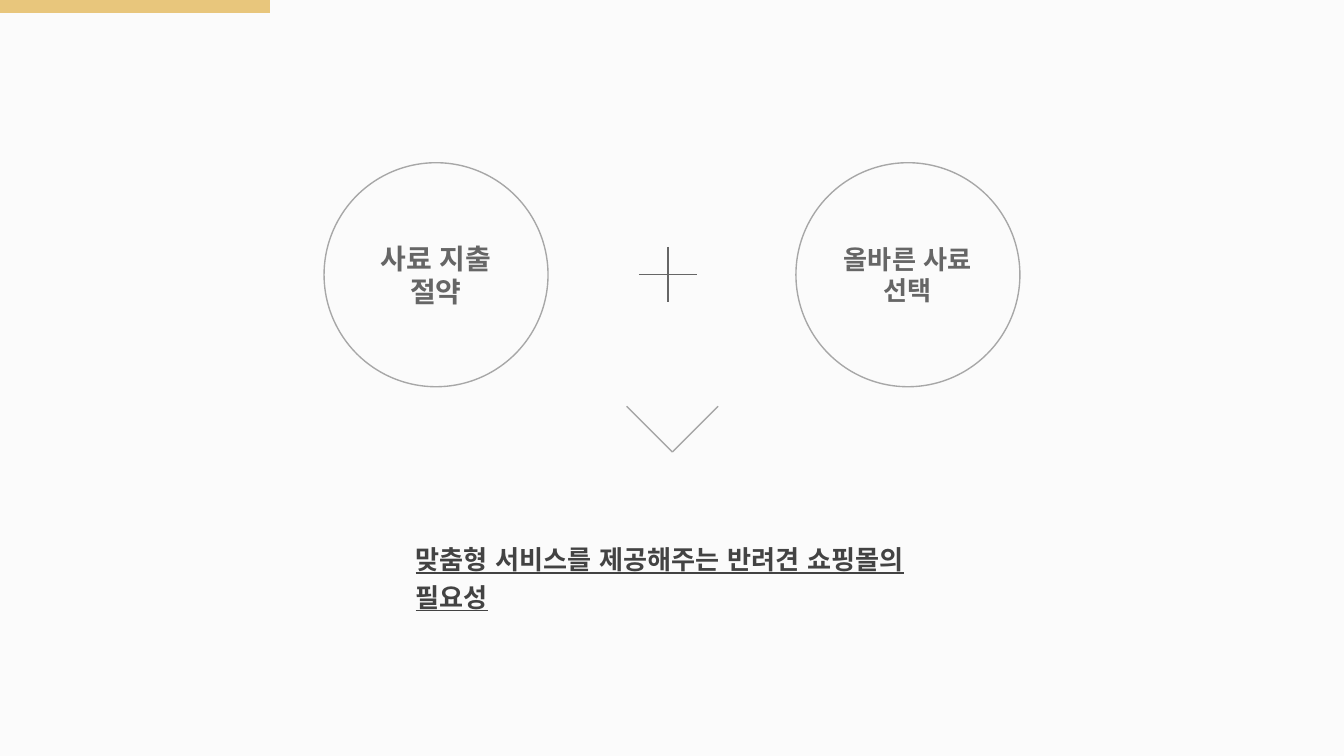
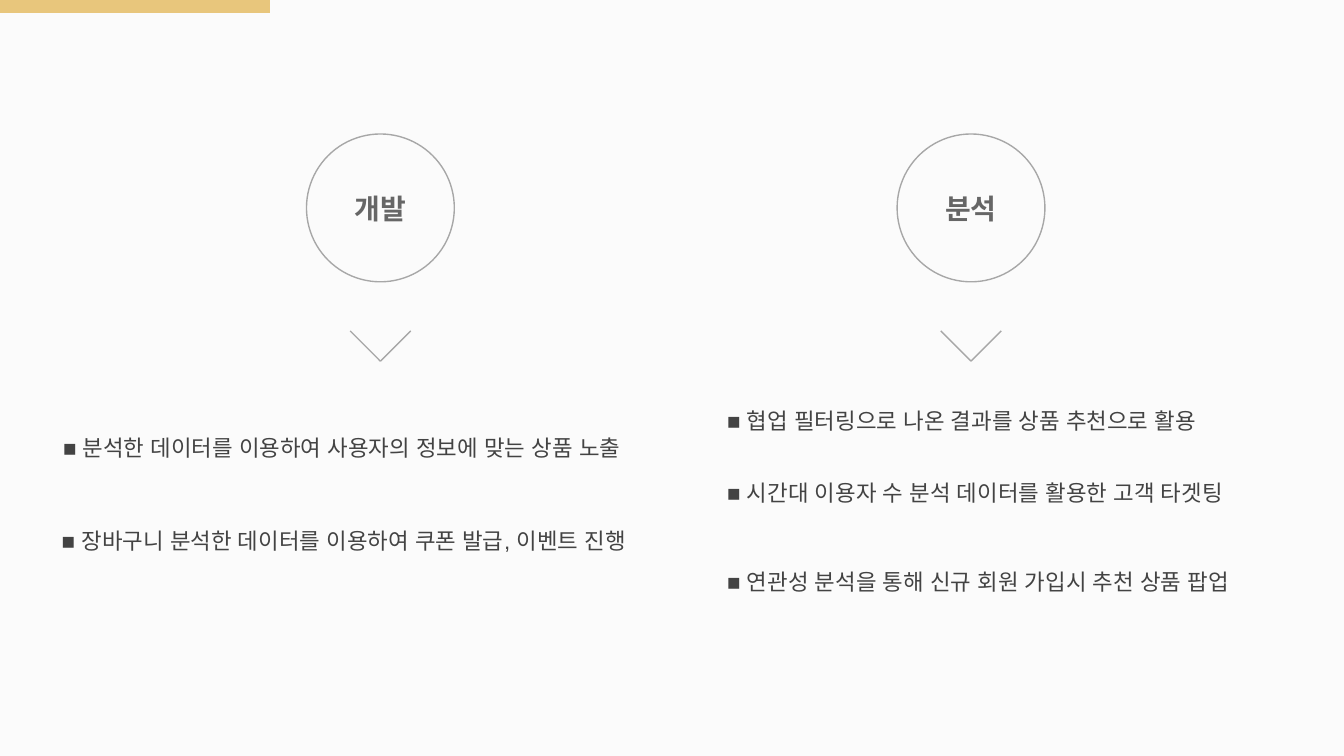
"""Build two slides on a tailored dog-food shopping mall."""
from dataclasses import dataclass

import lxml.etree
import pptx
import pptx.dml.color
import pptx.enum.shapes
import pptx.enum.text
import pptx.oxml.ns
import pptx.util

Pt = pptx.util.Pt
FONT = "Arial"
PAPER, GOLD = "FBFBFB", "E8C67C"
OUTLINE, GREY, DARK = "A7A7A7", "666666", "434343"
NOTE = {"size": Pt(12)}
CONCLUSION = {"size": Pt(14), "bold": True, "underline": True}


@dataclass(frozen=True)
class Circle:
    text: str
    cx: float
    cy: float
    diameter: float
    size: float = 15


@dataclass(frozen=True)
class Chevron:
    x: float
    y: float
    reach: float


@dataclass(frozen=True)
class TextLine:
    text: str
    left: float
    top: float
    width: float
    height: float


def rgb(value: str) -> pptx.dml.color.RGBColor:
    return pptx.dml.color.RGBColor.from_string(value)


def write(sp, text: str, color: str, inset: float, frame: dict, para: dict, font: dict) -> None:
    tf = sp.text_frame
    margins = {f"margin_{side}": Pt(inset) for side in ("left", "top", "right", "bottom")}
    p = tf.paragraphs[0]
    r = p.add_run()
    r.text = text
    formats = (
        (tf, {"word_wrap": True, **margins, **frame}),
        (p, para),
        (r.font, {"name": FONT, **font}),
    )
    for target, values in formats:
        for name, value in values.items():
            setattr(target, name, value)
    r.font.color.rgb = rgb(color)
    ea = lxml.etree.SubElement(r._r.get_or_add_rPr(), pptx.oxml.ns.qn("a:ea"))
    ea.set("typeface", FONT)


def add_line(s, x1: float, y1: float, x2: float, y2: float, color: str, width: float = 0.75) -> None:
    kind = pptx.enum.shapes.MSO_CONNECTOR.STRAIGHT
    sp = s.shapes.add_connector(kind, Pt(x1), Pt(y1), Pt(x2), Pt(y2))
    sp.line.color.rgb = rgb(color)
    sp.line.width = Pt(width)
    lxml.etree.SubElement(sp._element.spPr, pptx.oxml.ns.qn("a:effectLst"))


def add_circle(s, c: Circle) -> None:
    d = c.diameter
    sp = s.shapes.add_shape(
        pptx.enum.shapes.MSO_SHAPE.OVAL, Pt(c.cx - d / 2), Pt(c.cy - d / 2), Pt(d), Pt(d)
    )
    sp.shadow.inherit = False
    sp.fill.background()
    sp.line.color.rgb = rgb(OUTLINE)
    sp.line.width = Pt(0.75)
    write(
        sp, c.text, GREY, 7.2,
        {"vertical_anchor": pptx.enum.text.MSO_ANCHOR.MIDDLE},
        {"alignment": pptx.enum.text.PP_ALIGN.CENTER},
        {"size": Pt(c.size), "bold": True},
    )


def add_chevron(s, c: Chevron) -> None:
    for dx in (-c.reach, c.reach):
        add_line(s, c.x + dx, c.y - c.reach, c.x, c.y, OUTLINE)


def add_plus(s, x: float, y: float, half_width: float, half_height: float) -> None:
    add_line(s, x - half_width, y, x + half_width, y, GREY)
    add_line(s, x, y - half_height, x, y + half_height, GREY)


def add_text(s, t: TextLine, font: dict) -> None:
    sp = s.shapes.add_textbox(Pt(t.left), Pt(t.top), Pt(t.width), Pt(t.height))
    write(sp, t.text, DARK, 3.6, {}, {"line_spacing": 1.2}, font)


def add_slide(prs):
    s = prs.slides.add_slide(prs.slide_layouts[6])
    s.background.fill.solid()
    s.background.fill.fore_color.rgb = rgb(PAPER)
    add_line(s, 0, 2.25, 144.5, 2.25, GOLD, 9)
    return s


def build_need(prs) -> None:
    s = add_slide(prs)
    add_circle(s, Circle("사료 지출 절약", 233.6, 147.2, 120))
    add_circle(s, Circle("올바른 사료 선택", 486.4, 147.2, 120, 14))
    add_plus(s, 357.8, 147, 15.6, 14.7)
    add_chevron(s, Chevron(360.2, 242.2, 24.5))
    add_text(
        s,
        TextLine("맞춤형 서비스를 제공해주는 반려견 쇼핑몰의 필요성", 219, 284.4, 291.6, 24.5),
        CONCLUSION,
    )


def build_plan(prs) -> None:
    s = add_slide(prs)
    for label, x in (("개발", 203.8), ("분석", 520.2)):
        add_circle(s, Circle(label, x, 111.4, 79.2))
        add_chevron(s, Chevron(x, 193.5, 16.2))
    notes = (
        TextLine("■ 분석한 데이터를 이용하여 사용자의 정보에 맞는 상품 노출", 30.2, 226.1, 332, 37.4),
        TextLine("■ 장바구니 분석한 데이터를 이용하여 쿠폰 발급, 이벤트 진행", 29.5, 275.8, 336.2, 37.4),
        TextLine("■ 협업 필터링으로 나온 결과를 상품 추천으로 활용", 386, 211.7, 284.4, 29.5),
        TextLine("■ 시간대 이용자 수 분석 데이터를 활용한 고객 타겟팅", 386, 250.2, 304.6, 29.5),
        TextLine("■ 연관성 분석을 통해 신규 회원 가입시 추천 상품 팝업", 386, 298.1, 304.6, 29.5),
    )
    for note in notes:
        add_text(s, note, NOTE)


def main() -> None:
    prs = pptx.Presentation()
    prs.slide_width, prs.slide_height = Pt(720), Pt(405)
    build_need(prs)
    build_plan(prs)
    prs.save("out.pptx")


if __name__ == "__main__":
    main()
